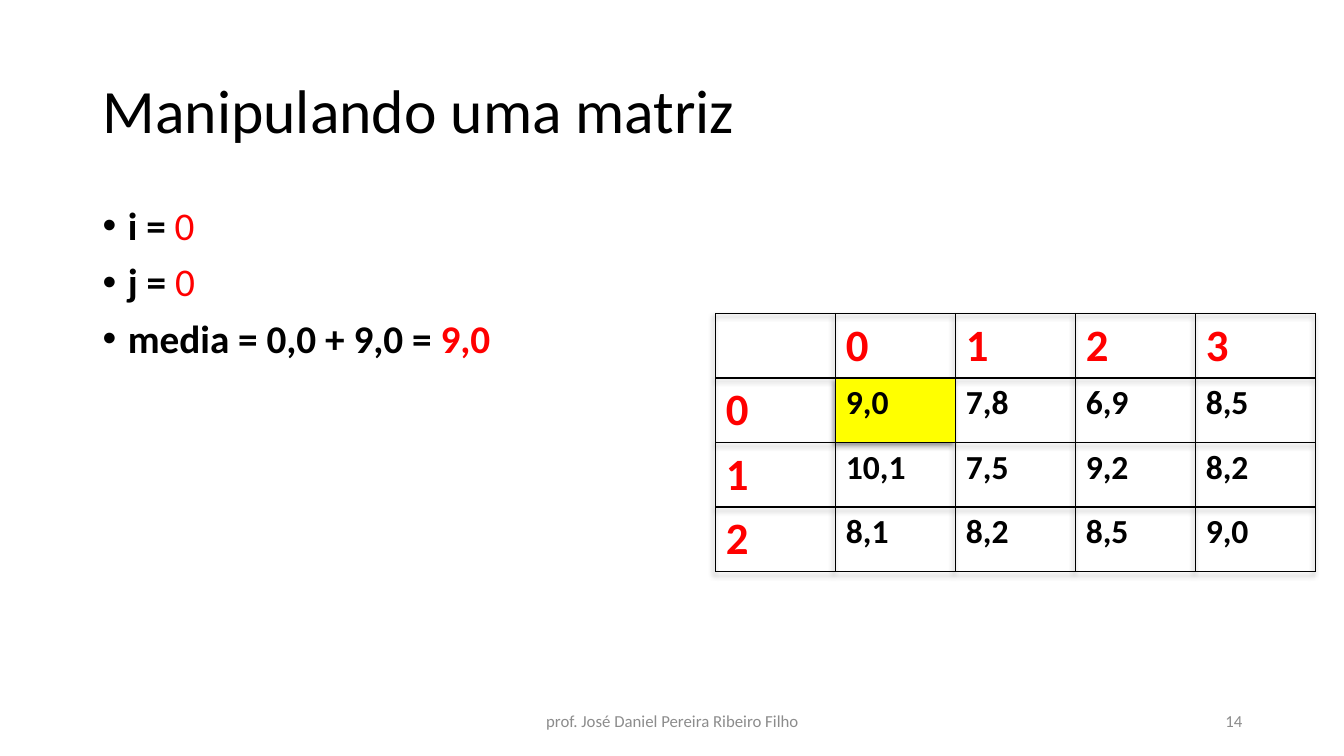
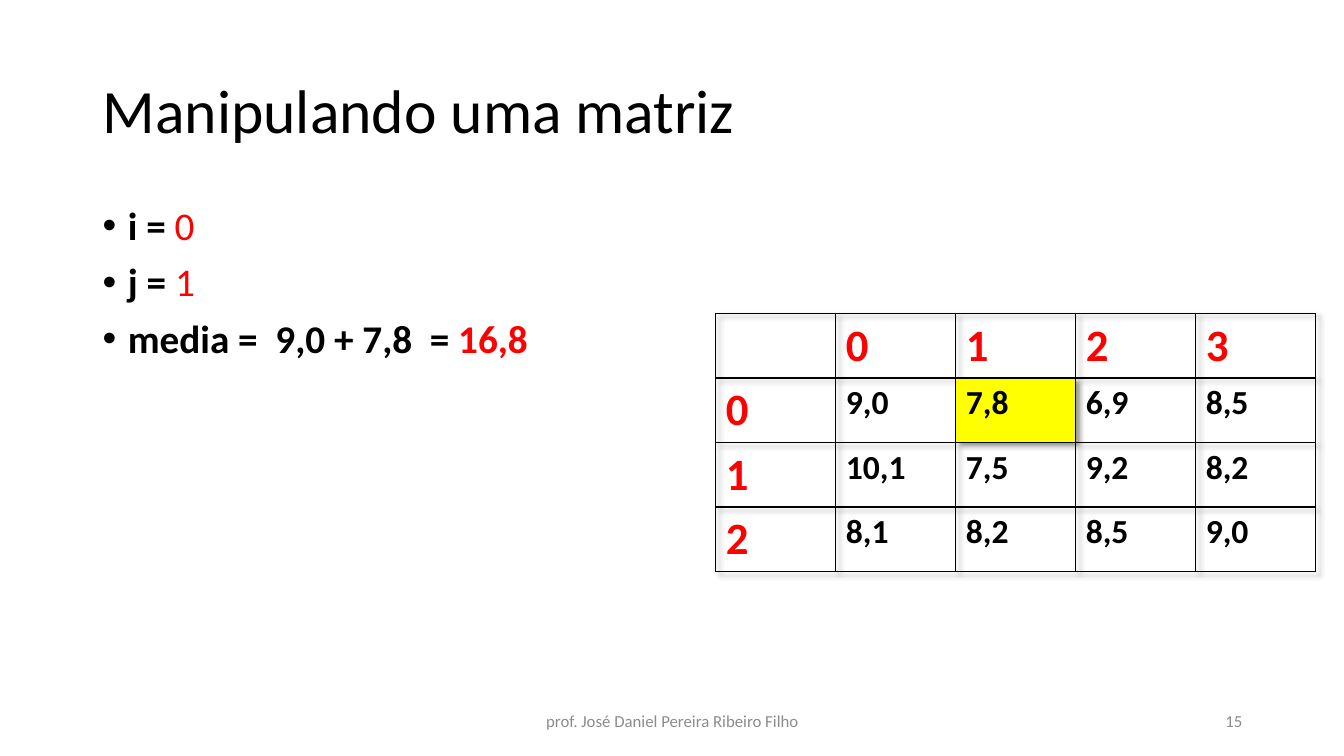
from dataclasses import dataclass

from lxml import etree
from pptx import Presentation
from pptx.dml.color import RGBColor
from pptx.enum import text as t
from pptx.oxml import parse_xml
from pptx.oxml.ns import nsdecls, qn
from pptx.util import Inches, Pt

FONT = "Calibri"
BLACK = RGBColor(0x00, 0x00, 0x00)
RED = RGBColor(0xFF, 0x00, 0x00)
GRAY = RGBColor(0x8C, 0x8C, 0x8C)
YELLOW = RGBColor(0xFF, 0xFF, 0x00)

TITLE = "Manipulando uma matriz"
AUTHOR = "prof. José Daniel Pereira Ribeiro Filho"
GRADES = [
    ["9,0", "7,8", "6,9", "8,5"],
    ["10,1", "7,5", "9,2", "8,2"],
    ["8,1", "8,2", "8,5", "9,0"],
]
COL, ROW = 1.19, 0.64


@dataclass
class Step:
    page: int
    row: int
    col: int
    sum: str
    total: str
    angle: int  # shadow direction in degrees


STEPS = [
    Step(14, 0, 0, "media = 0,0 + 9,0 = ", "9,0", 135),
    Step(15, 0, 1, "media =  9,0 + 7,8  = ", "16,8", 45),
]


# Text
def add_run(para, text: str, size=28, color=BLACK, bold=False) -> None:
    run = para.add_run()
    run.text = text
    font = run.font
    font.name, font.size, font.bold = FONT, Pt(size), bold
    font.color.rgb = color


def add_frame(slide, left, top, width, height, anchor=t.MSO_ANCHOR.MIDDLE):
    box = slide.shapes.add_textbox(
        Inches(left), Inches(top), Inches(width), Inches(height))
    frame = box.text_frame
    frame.word_wrap = True
    frame.vertical_anchor = anchor
    return frame


def add_text(slide, text: str, *area, align=t.PP_ALIGN.LEFT, lead=1.0, **style) -> None:
    para = add_frame(slide, *area).paragraphs[0]
    para.alignment, para.line_spacing = align, lead
    add_run(para, text, **style)


def add_list(slide, step: Step) -> None:
    frame = add_frame(slide, 0.92, 2, 11.5, 4.76, anchor=t.MSO_ANCHOR.TOP)
    items = [
        ("i = ", str(step.row), False),
        ("j = ", str(step.col), False),
        (step.sum, step.total, True),
    ]
    for n, (label, value, bold) in enumerate(items):
        para = frame.add_paragraph() if n else frame.paragraphs[0]
        props = para._p.get_or_add_pPr()
        props.set("marL", str(Inches(0.25)))
        props.set("indent", str(-Inches(0.25)))
        etree.SubElement(props, qn("a:buFont")).set("typeface", "Arial")
        etree.SubElement(props, qn("a:buChar")).set("char", "•")
        para.line_spacing = 0.9
        if n:
            para.space_before = Pt(10)
        add_run(para, label, bold=True)
        add_run(para, value, color=RED, bold=bold)


# Matrix
def add_edges(cell) -> None:
    props = cell._tc.get_or_add_tcPr()
    for n, side in enumerate(("lnL", "lnR", "lnT", "lnB")):
        props.insert(n, parse_xml(
            f'<a:{side} {nsdecls("a")} w="{Pt(1)}"><a:solidFill>'
            f'<a:srgbClr val="{BLACK}"/></a:solidFill></a:{side}>'))


def add_shade(table, angle: int) -> None:
    table._tbl.tblPr.insert(0, parse_xml(
        f'<a:effectLst {nsdecls("a")}><a:outerShdw blurRad="{Pt(4)}" '
        f'dist="{Pt(3)}" dir="{angle * 60000}" algn="tl" rotWithShape="0">'
        f'<a:srgbClr val="{BLACK}"><a:alpha val="40000"/></a:srgbClr>'
        '</a:outerShdw></a:effectLst>'))


def add_grid(slide, step: Step) -> None:
    heads = [""] + [str(n) for n in range(len(GRADES[0]))]
    data = [heads] + [[str(n)] + row for n, row in enumerate(GRADES)]
    rows, cols = len(data), len(heads)
    table = slide.shapes.add_table(
        rows, cols, Inches(7.1), Inches(3.11),
        Inches(COL * cols), Inches(ROW * rows)).table
    table.first_row = table.horz_banding = False
    add_shade(table, step.angle)
    for row in table.rows:
        row.height = Inches(ROW)
    for r, row in enumerate(data):
        for c, value in enumerate(row):
            cell = table.cell(r, c)
            if (r, c) == (step.row + 1, step.col + 1):
                cell.fill.solid()
                cell.fill.fore_color.rgb = YELLOW
            else:
                cell.fill.background()
            add_edges(cell)
            head = r == 0 or c == 0
            if value:
                add_run(cell.text_frame.paragraphs[0], value, bold=True,
                        size=32 if head else 24, color=RED if head else BLACK)


# Slides
def add_step(deck, step: Step) -> None:
    slide = deck.slides.add_slide(deck.slide_layouts[6])
    add_text(slide, TITLE, 0.92, 0.4, 11.5, 1.45, lead=0.9, size=44)
    add_list(slide, step)
    add_text(slide, AUTHOR, 4.42, 6.95, 4.5, 0.4,
             align=t.PP_ALIGN.CENTER, size=12, color=GRAY)
    add_text(slide, str(step.page), 9.42, 6.95, 3, 0.4,
             align=t.PP_ALIGN.RIGHT, size=12, color=GRAY)
    add_grid(slide, step)


def main() -> None:
    deck = Presentation()
    deck.slide_width, deck.slide_height = Inches(13.33), Inches(7.5)
    for step in STEPS:
        add_step(deck, step)
    deck.save("out.pptx")


if __name__ == "__main__":
    main()
